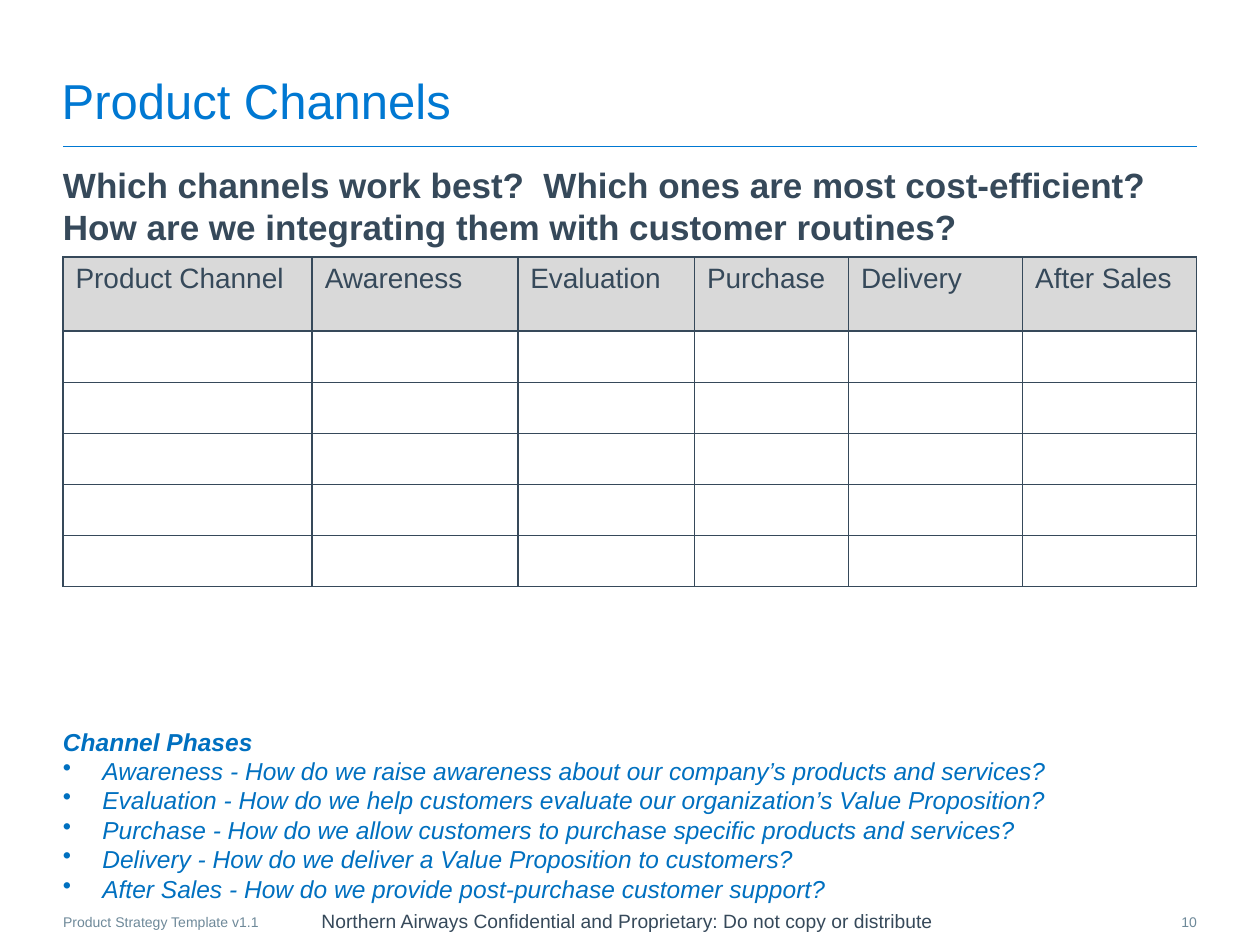
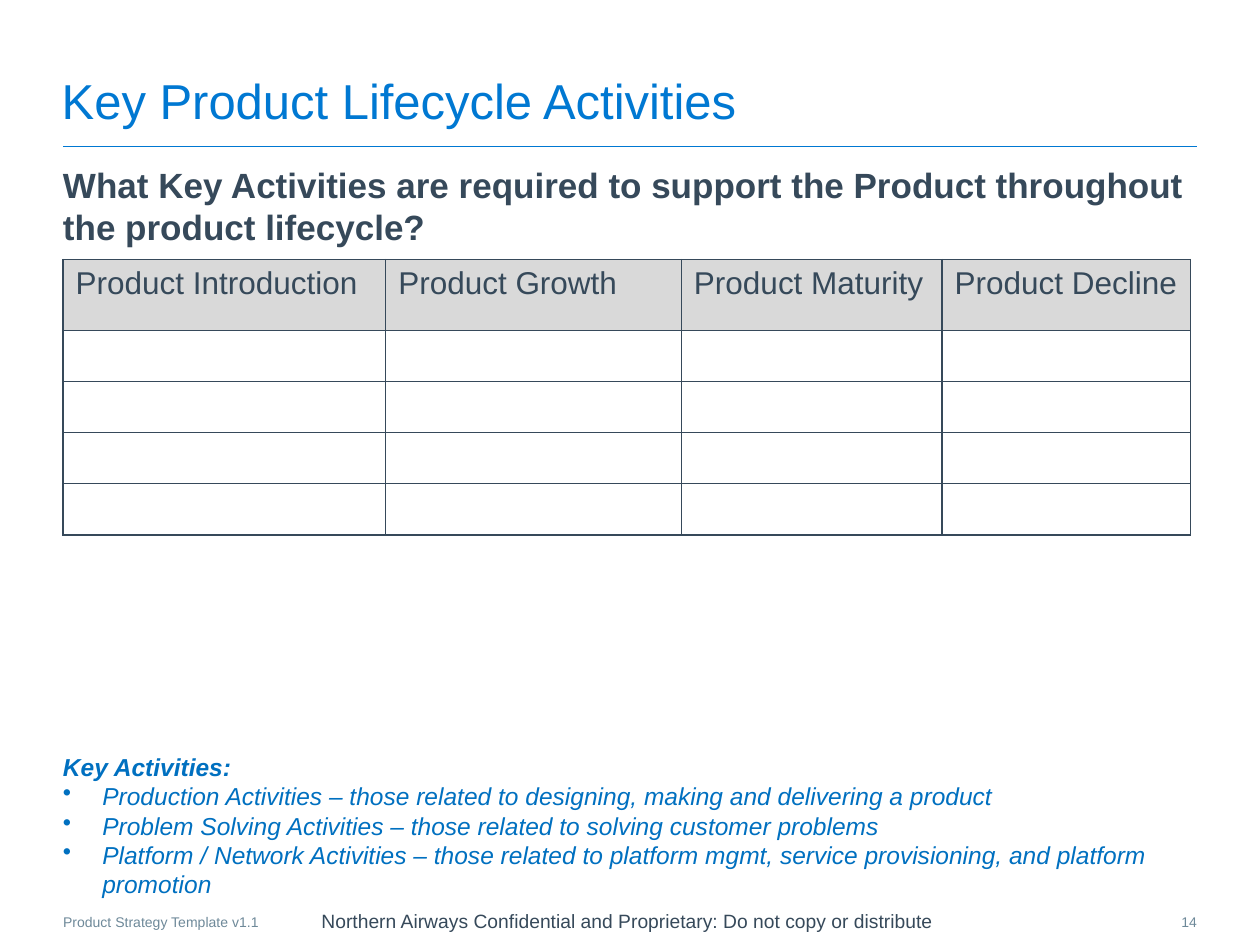
from pptx import Presentation
from pptx.dml.color import RGBColor
from pptx.enum import shapes, text
from pptx.oxml import parse_xml
from pptx.oxml.ns import nsdecls
from pptx.util import Pt

BLUE = RGBColor(0x00, 0x78, 0xD2)
NOTE = RGBColor(0x00, 0x70, 0xC0)
SLATE = RGBColor(0x36, 0x49, 0x5A)
MUTED = RGBColor(0x6E, 0x89, 0x99)
GREY = RGBColor(0xD9, 0xD9, 0xD9)
WHITE = RGBColor(0xFF, 0xFF, 0xFF)
LEFT, WIDE = 36, 648
ROW = 29.2

PAGES = [
    dict(title="Product Channels", num="10",
         ask="Which channels work best?  Which ones are most cost-efficient?  "
             "How are we integrating them with customer routines?",
         heads=["Product Channel", "Awareness", "Evaluation", "Purchase", "Delivery", "After Sales"],
         cols=[142.4, 117.5, 101, 88, 99.5, 99.5], top=146.9, head=42.4, rows=5, size=16,
         low=415.2, label="Channel Phases",
         notes=["Awareness - How do we raise awareness about our company’s products and services?",
                "Evaluation - How do we help customers evaluate our organization’s Value Proposition?",
                "Purchase - How do we allow customers to purchase specific products and services?",
                "Delivery - How do we deliver a Value Proposition to customers?",
                "After Sales - How do we provide post-purchase customer support?"]),
    dict(title="Key Product Lifecycle Activities", num="14",
         ask="What Key Activities are required to support the Product throughout the product lifecycle?",
         heads=["Product Introduction", "Product Growth", "Product Maturity", "Product Decline"],
         cols=[184.4, 169, 149, 142], top=148.4, head=40.4, rows=4, size=18,
         low=429.6, label="Key Activities:",
         notes=["Production Activities – those related to designing, making and delivering a product",
                "Problem Solving Activities – those related to solving customer problems",
                "Platform / Network Activities – those related to platform mgmt, "
                "service provisioning, and platform promotion"]),
]


def write(frame, words, size=14, color=SLATE, bold=False, italic=False,
          align=text.PP_ALIGN.LEFT, lead=None, bullet=False, more=False):
    para = frame.add_paragraph() if more else frame.paragraphs[0]
    para.alignment = align
    if lead:
        para.line_spacing = Pt(lead)
    if bullet:
        props = para._p.get_or_add_pPr()
        props.set("marL", str(Pt(22.5)))
        props.set("indent", str(-Pt(22.5)))
        props.append(parse_xml(f'<a:buChar {nsdecls("a")} char="•"/>'))
    run = para.add_run()
    run.text = words
    font = run.font
    font.name, font.size, font.bold, font.italic = "Arial", Pt(size), bold, italic
    font.color.rgb = color


def box(slide, x, y, w, h, anchor=text.MSO_ANCHOR.TOP, wrap=True):
    frame = slide.shapes.add_textbox(Pt(x), Pt(y), Pt(w), Pt(h)).text_frame
    frame.margin_left = frame.margin_right = frame.margin_top = frame.margin_bottom = 0
    frame.vertical_anchor = anchor
    frame.word_wrap = wrap
    return frame


deck = Presentation()
deck.slide_width, deck.slide_height = Pt(720), Pt(540)

for page in PAGES:
    slide = deck.slides.add_slide(deck.slide_layouts[6])

    # Title and rule
    write(box(slide, 35.3, 30.2, WIDE, 44, text.MSO_ANCHOR.BOTTOM), page["title"], size=28, color=BLUE)
    rule = slide.shapes.add_connector(shapes.MSO_CONNECTOR.STRAIGHT,
                                      Pt(LEFT), Pt(83.5), Pt(LEFT + WIDE), Pt(83.5))
    rule.line.color.rgb = BLUE
    rule.line.width = Pt(0.5)
    rule._element.spPr.append(parse_xml(f'<a:effectLst {nsdecls("a")}/>'))

    # Footer
    write(box(slide, 144.7, 517, 427.7, 18.7, text.MSO_ANCHOR.MIDDLE, wrap=False),
          "Northern Airways Confidential and Proprietary: Do not copy or distribute",
          size=11, align=text.PP_ALIGN.CENTER)
    write(box(slide, LEFT, 522, 140, 10), "Product Strategy Template v1.1", size=8, color=MUTED)
    write(box(slide, 659, 522, 25, 10), page["num"], size=8, color=MUTED, align=text.PP_ALIGN.RIGHT)

    # Question
    write(box(slide, LEFT, 93.6, WIDE, 48), page["ask"], size=20, bold=True, lead=24)

    # Notes
    frame = box(slide, LEFT, page["low"], WIDE, 16.8 * 6)
    write(frame, page["label"], color=NOTE, bold=True, italic=True, lead=16.8)
    for note in page["notes"]:
        write(frame, note, color=NOTE, italic=True, lead=16.8, bullet=True, more=True)

    # Table
    cols, count = page["cols"], page["rows"] + 1
    table = slide.shapes.add_table(count, len(cols), Pt(LEFT), Pt(page["top"]), Pt(sum(cols)),
                                   Pt(page["head"] + ROW * page["rows"])).table
    table.first_row = table.horz_banding = False
    for col, width in zip(table.columns, cols):
        col.width = Pt(width)
    for i, row in enumerate(table.rows):
        row.height = Pt(ROW if i else page["head"])
        for cell, head in zip(row.cells, page["heads"]):
            props = cell._tc.get_or_add_tcPr()
            for side in ("lnL", "lnR", "lnT", "lnB"):
                props.append(parse_xml(
                    f'<a:{side} {nsdecls("a")} w="{Pt(1)}"><a:solidFill>'
                    f'<a:srgbClr val="{SLATE}"/></a:solidFill></a:{side}>'))
            cell.fill.solid()
            cell.fill.fore_color.rgb = WHITE if i else GREY
            if i == 0:
                write(cell.text_frame, head, size=page["size"])

deck.save("out.pptx")
